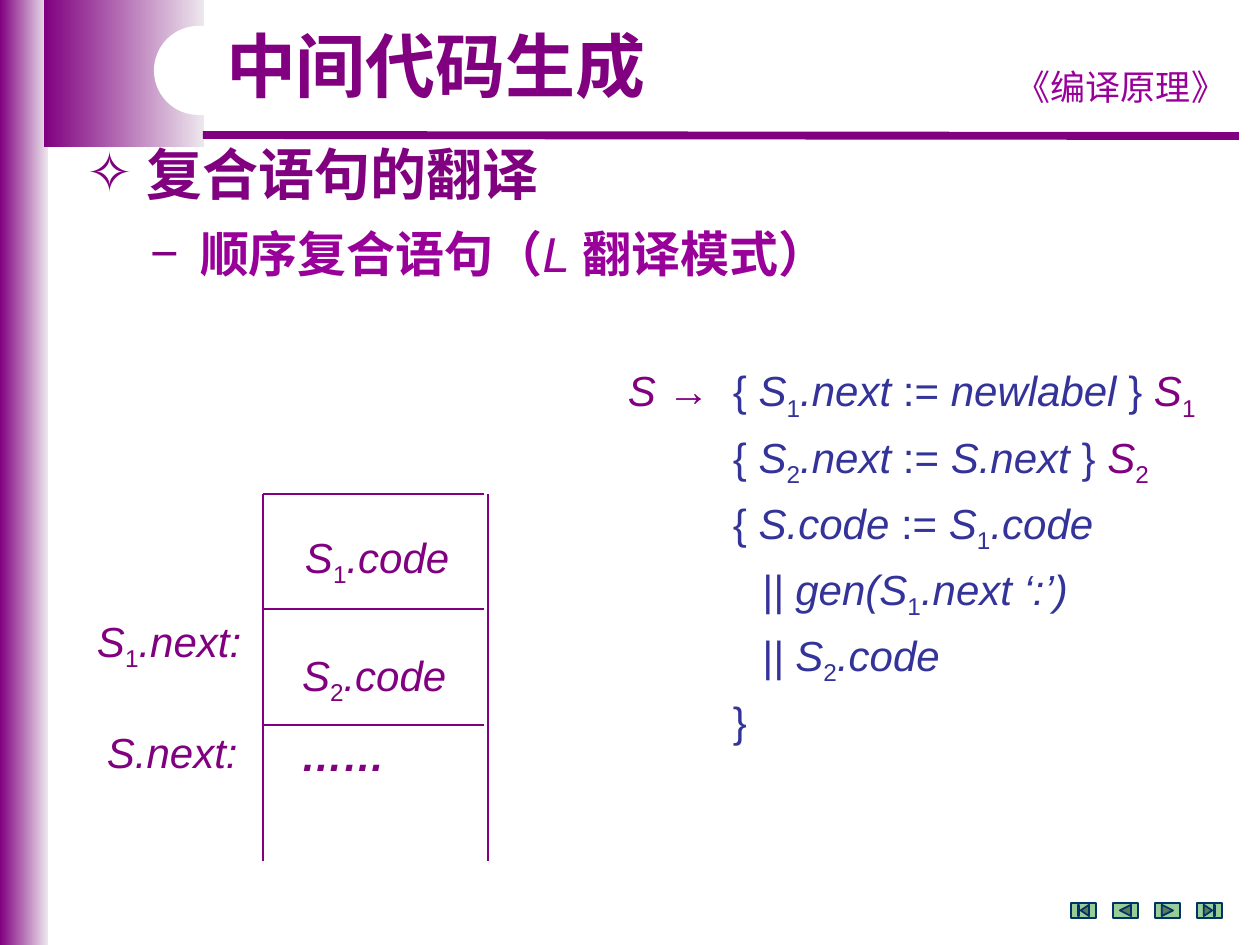
import pptx
import pptx.util
import pptx.dml.color
import pptx.enum.shapes
import pptx.enum.text
import pptx.oxml.ns
import lxml.etree

PX = 914400 / 126
PURPLE, VIOLET, BLUE = "800080", "990099", "333399"
SHAPE = pptx.enum.shapes.MSO_SHAPE
qn = pptx.oxml.ns.qn


def rgb(value):
    return pptx.dml.color.RGBColor.from_string(value)


def write(paragraph, size, color, runs):
    for text, style, *override in runs:
        run = paragraph.add_run()
        run.text = text
        run.font.size = pptx.util.Pt(size)
        run.font.name = "Arial"
        run.font.bold = "b" in style
        run.font.italic = "i" in style
        run.font.color.rgb = rgb(override[0] if override else color)
        properties = run._r.get_or_add_rPr()
        lxml.etree.SubElement(properties, qn("a:ea"), typeface="Noto Sans CJK SC")
        if "_" in style:
            properties.set("baseline", "-25000")


deck = pptx.Presentation()
deck.slide_width, deck.slide_height = round(1260 * PX), round(945 * PX)
slide = deck.slides.add_slide(deck.slide_layouts[1])
shapes = slide.shapes

for box in ((0, 0, 48, 945), (44, 0, 160, 147)):
    band = shapes.add_shape(SHAPE.RECTANGLE, *[round(v * PX) for v in box])
    band.shadow.inherit = False
    band.line.fill.background()
    band.fill.gradient()
    band.fill.gradient_angle = 0
    for stop, color, position in zip(band.fill.gradient_stops, (PURPLE, "EDE7ED"), (0, 1)):
        stop.color.rgb = rgb(color)
        stop.position = position

title_panel = shapes.add_shape(
    SHAPE.ROUNDED_RECTANGLE, *[round(v * PX) for v in (154, 26, 456, 89)])
title_panel.adjustments[0] = 0.5
title_panel.shadow.inherit = False
title_panel.fill.solid()
title_panel.fill.fore_color.rgb = rgb("FFFFFF")
title_panel.line.fill.background()

STACK_LEFT, STACK_RIGHT, STACK_TOP, STACK_BOTTOM = 263, 488, 494, 861
rules = [(203, 135, 1239, 136, 4.5)]
rules += [(x, STACK_TOP, x, STACK_BOTTOM, 0.75) for x in (STACK_LEFT, STACK_RIGHT)]
rules += [(STACK_LEFT, y, STACK_RIGHT - 4, y, 0.75) for y in (494, 609, 725)]
for *ends, weight in rules:
    rule = shapes.add_connector(
        pptx.enum.shapes.MSO_CONNECTOR.STRAIGHT, *[round(v * PX) for v in ends])
    rule.line.color.rgb = rgb(PURPLE)
    rule.line.width = pptx.util.Pt(weight)
    lxml.etree.SubElement(rule._element.spPr, qn("a:effectLst"))

title, topics = shapes.title, slide.placeholders[1]
for holder, box in ((title, (226, 26, 440, 88)), (topics, (86, 139, 1140, 190))):
    holder.left, holder.top, holder.width, holder.height = [round(v * PX) for v in box]
    shapes._spTree.append(holder._element)
    frame = holder.text_frame
    frame.margin_left = frame.margin_right = frame.margin_top = frame.margin_bottom = 0
    frame.auto_size = pptx.enum.text.MSO_AUTO_SIZE.NONE

title.text_frame.vertical_anchor = pptx.enum.text.MSO_ANCHOR.MIDDLE
heading = title.text_frame.paragraphs[0]
heading.alignment = pptx.enum.text.PP_ALIGN.LEFT
heading.line_spacing = 0.9
write(heading, 40, PURPLE, [("中间代码生成", "b")])

topic_items = [
    (0, "✧", 60, 60, 0, 32, PURPLE, [("复合语句的翻译", "b")]),
    (1, "−", 114, 50, 10, 28, VIOLET,
     [("顺序复合语句（", "b"), ("L ", "i"), ("翻译模式）", "b")]),
]
for level, bullet, margin, hang, gap, size, color, runs in topic_items:
    frame = topics.text_frame
    item = frame.add_paragraph() if level else frame.paragraphs[0]
    item.level = level
    item.space_before = pptx.util.Pt(gap)
    properties = item._p.get_or_add_pPr()
    properties.set("marL", str(round(margin * PX)))
    properties.set("indent", str(round(-hang * PX)))
    bullet_color = lxml.etree.SubElement(properties, qn("a:buClr"))
    lxml.etree.SubElement(bullet_color, qn("a:srgbClr"), val=PURPLE)
    lxml.etree.SubElement(properties, qn("a:buFont"), typeface="Arial")
    lxml.etree.SubElement(properties, qn("a:buChar"), char=bullet)
    write(item, size, color, runs)

scheme = [
    (105, [("S ", "i", PURPLE), ("→", "", PURPLE), ("\t{ ", ""), ("S", "i"), ("1", "_"),
           (".next ", "i"), (":= ", ""), ("newlabel", "i"), (" } ", ""),
           ("S", "i", PURPLE), ("1", "_", PURPLE)]),
    (105, [("{ ", ""), ("S", "i"), ("2", "_"), (".next ", "i"), (":= ", ""),
           ("S.next", "i"), (" } ", ""), ("S", "i", PURPLE), ("2", "_", PURPLE)]),
    (105, [("{ ", ""), ("S.code ", "i"), (":=", ""), (" S", "i"), ("1", "_"),
           (".code", "i")]),
    (134, [("|| gen(S", "i"), ("1", "_"), (".next ‘:’)", "i")]),
    (134, [("|| S", "i"), ("2", "_"), (".code", "i")]),
    (105, [("}", "")]),
]
text_blocks = [
    ((997, 66, 248, 54), 20, VIOLET, [(0, [("《编译原理》", "")])]),
    ((628, 365, 620, 340), 24, BLUE, scheme),
    ((305, 531, 160, 54), 24, PURPLE, [(0, [("S", "i"), ("1", "_"), (".code", "i")])]),
    ((302, 649, 160, 54), 24, PURPLE, [(0, [("S", "i"), ("2", "_"), (".code", "i")])]),
    ((97, 615, 160, 54), 24, PURPLE, [(0, [("S", "i"), ("1", "_"), (".next:", "i")])]),
    ((107, 727, 150, 54), 24, PURPLE, [(0, [("S.next:", "i")])]),
    ((301, 729, 110, 54), 24, PURPLE, [(0, [("……", "bi")])]),
]
for box, size, color, lines in text_blocks:
    frame = shapes.add_textbox(*[round(v * PX) for v in box]).text_frame
    frame.word_wrap = True
    frame.margin_left = frame.margin_right = frame.margin_top = frame.margin_bottom = 0
    for index, (margin, runs) in enumerate(lines):
        line = frame.add_paragraph() if index else frame.paragraphs[0]
        if index:
            line.space_before = pptx.util.Pt(5)
        if size == 20:
            line.alignment = pptx.enum.text.PP_ALIGN.CENTER
        properties = line._p.get_or_add_pPr()
        properties.set("marL", str(round(margin * PX)))
        if runs[0][0] == "S " :
            properties.set("indent", str(round(-margin * PX)))
        write(line, size, color, runs)

buttons = (SHAPE.ACTION_BUTTON_BEGINNING, SHAPE.ACTION_BUTTON_BACK_OR_PREVIOUS,
           SHAPE.ACTION_BUTTON_FORWARD_OR_NEXT, SHAPE.ACTION_BUTTON_END)
for index, kind in enumerate(buttons):
    button = shapes.add_shape(
        kind, *[round(v * PX) for v in (1071 + 42 * index, 903, 25, 15)])
    button.shadow.inherit = False
    button.fill.solid()
    button.fill.fore_color.rgb = rgb("99CC99")
    button.line.color.rgb = rgb("003366")
    button.line.width = pptx.util.Pt(1)

deck.save("out.pptx")
